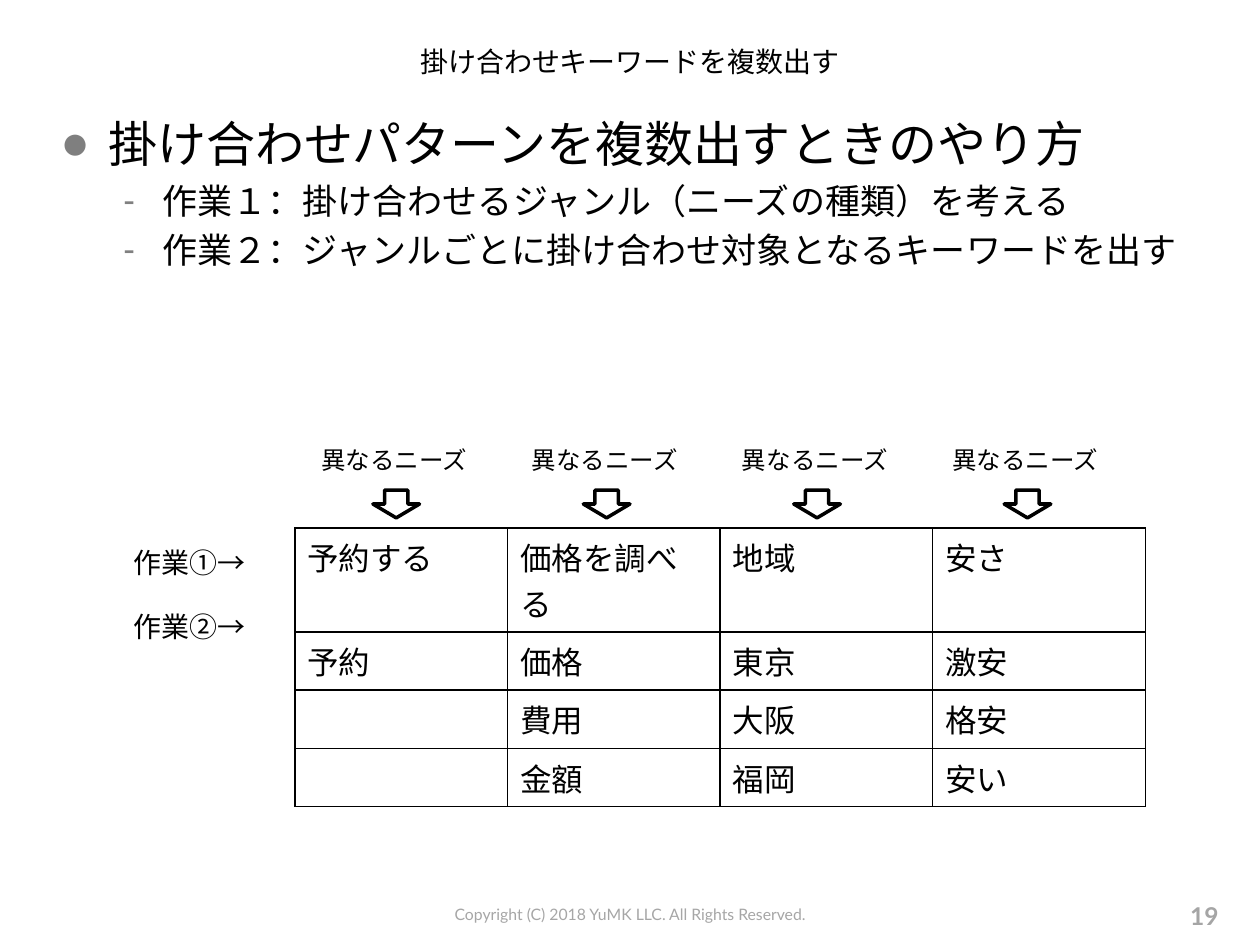
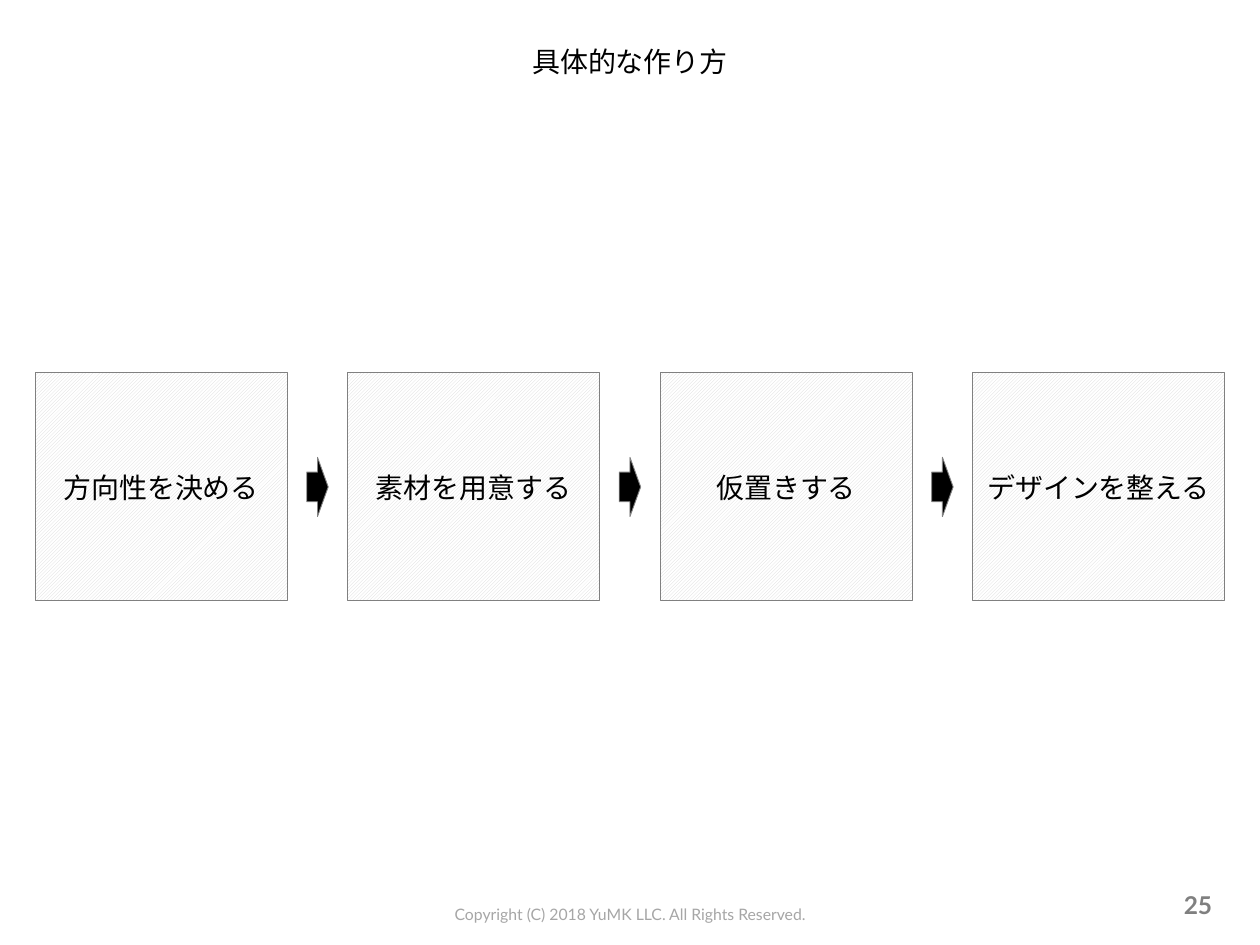
from lxml.etree import SubElement
from pptx import Presentation
from pptx.dml.color import RGBColor
from pptx.enum.dml import MSO_PATTERN
from pptx.enum.shapes import MSO_SHAPE
from pptx.enum.text import MSO_ANCHOR, MSO_AUTO_SIZE, PP_ALIGN
from pptx.oxml.ns import qn
from pptx.util import Inches, Pt

SANS = "Noto Sans CJK JP"
BLACK, WHITE, GRAY = "000000", "FFFFFF", "808080"
LEFT, MID, RIGHT = PP_ALIGN.LEFT, PP_ALIGN.CENTER, PP_ALIGN.RIGHT

FOOTER = "Copyright (C) 2018 YuMK LLC. All Rights Reserved."
FOOT = dict(size=9, name="Lato", color="A6A6A6")
HEAD = dict(size=16, name=SANS)

KEYWORDS = dict(
    title="掛け合わせキーワードを複数出す",
    page=("19", (7.44, 7.07, 2.33, 0.4), "A5A5A5"),
    bullets=[
        (0, "掛け合わせパターンを複数出すときのやり方"),
        (1, "作業１：掛け合わせるジャンル（ニーズの種類）を考える"),
        (1, "作業２：ジャンルごとに掛け合わせ対象となるキーワードを出す"),
    ],
    need="異なるニーズ",
    tasks=["作業①→", "作業②→"],
    table=[
        ["予約する", "価格を調べる", "地域", "安さ"],
        ["予約", "価格", "東京", "激安"],
        ["", "費用", "大阪", "格安"],
        ["", "金額", "福岡", "安い"],
    ],
)
STEPS = dict(
    title="具体的な作り方",
    page=("25", (7.39, 6.98, 2.33, 0.4), GRAY),
    steps=["方向性を決める", "素材を用意する", "仮置きする", "デザインを整える"],
)
# Per level: size, left margin, hanging indent, bullet, bullet colour
LEVELS = [(28, 0.38, 0.38, "●", "7F7F7F"), (20, 0.81, 0.31, "-", GRAY)]


def rgb(code):
    return RGBColor.from_string(code)


def place(shape, box):
    for key, size in zip(("left", "top", "width", "height"), box):
        setattr(shape, key, Inches(size))


def style(para, size, name, color=BLACK, bold=False, align=LEFT):
    """Format a paragraph, with the same face for Japanese text."""
    para.alignment = align
    look = dict(size=Pt(size), name=name, bold=bold)
    for run in para.runs:
        for key, value in look.items():
            setattr(run.font, key, value)
        run.font.color.rgb = rgb(color)
        east = SubElement(run.font._element, qn("a:ea"))
        east.set("typeface", SANS)


def write(shape, text, anchor=MSO_ANCHOR.TOP, **look):
    frame = shape.text_frame
    frame.text = text
    frame.word_wrap = True
    frame.auto_size = MSO_AUTO_SIZE.NONE
    frame.vertical_anchor = anchor
    style(frame.paragraphs[0], **look)


def label(slide, text, box, **look):
    write(slide.shapes.add_textbox(*map(Inches, box)), text, **look)


def draw(slide, kind, box, line, width):
    shape = slide.shapes.add_shape(kind, *map(Inches, box))
    shape.shadow.inherit = False
    shape.line.color.rgb = rgb(line)
    shape.line.width = Pt(width)
    return shape


def paint(shape, color):
    shape.fill.solid()
    shape.fill.fore_color.rgb = rgb(color)


def start(deck, layout, title, page):
    """Add a slide with its title, footer and page number."""
    slide = deck.slides.add_slide(deck.slide_layouts[layout])
    head = slide.shapes.title
    place(head, (0.5, 0.22, 9, 0.54))
    write(head, title, MSO_ANCHOR.MIDDLE, align=MID, **HEAD)
    label(slide, FOOTER, (3.15, 7.13, 3.7, 0.25), align=MID, **FOOT)
    number, box, color = page
    label(slide, number, box, anchor=MSO_ANCHOR.MIDDLE, size=14,
          name="Lato", color=color, bold=True, align=RIGHT)
    return slide


def add_list(body, items):
    place(body, (0.38, 0.85, 9.15, 5.79))
    frame = body.text_frame
    frame.auto_size = MSO_AUTO_SIZE.NONE
    for i, (level, text) in enumerate(items):
        para = frame.add_paragraph() if i else frame.paragraphs[0]
        para.text, para.level = text, level
        size, left, hang, mark, color = LEVELS[level]
        props = para._p.get_or_add_pPr()
        props.set("marL", str(Inches(left)))
        props.set("indent", str(-Inches(hang)))
        tint = SubElement(props, qn("a:buClr"))
        SubElement(tint, qn("a:srgbClr")).set("val", color)
        SubElement(props, qn("a:buChar")).set("char", mark)
        para.space_before = Pt(4 if i else 0)
        style(para, size, SANS)


def edge(cell):
    """Give a cell a thin black border on each side."""
    props = cell._tc.get_or_add_tcPr()
    for side in ("lnL", "lnR", "lnT", "lnB"):
        line = SubElement(props, qn(f"a:{side}"), w=str(Pt(1)))
        fill = SubElement(line, qn("a:solidFill"))
        SubElement(fill, qn("a:srgbClr")).set("val", BLACK)


def add_grid(slide, rows):
    box = map(Inches, (2.34, 4.19, 6.75, 1.7))
    grid = slide.shapes.add_table(len(rows), len(rows[0]), *box).table
    grid.first_row = grid.horz_banding = False
    for r, row in enumerate(rows):
        for c, text in enumerate(row):
            cell = grid.cell(r, c)
            cell.text = text
            edge(cell)
            cell.fill.background()
            style(cell.text_frame.paragraphs[0], 18, "Calibri")


def add_keywords(deck, data):
    slide = start(deck, 1, data["title"], data["page"])
    add_list(slide.placeholders[1], data["bullets"])
    add_grid(slide, data["table"])
    for i, task in enumerate(data["tasks"]):
        label(slide, task, (0.96, 4.28 + 0.51 * i, 1.19, 0.37),
              size=16, name="Calibri")
    for i in range(len(data["table"][0])):
        left = 2.45 + 1.67 * i
        label(slide, data["need"], (left, 3.48, 1.38, 0.34),
              size=14, name="Arial")
        arrow = draw(slide, MSO_SHAPE.DOWN_ARROW,
                     (left + 0.51, 3.89, 0.37, 0.22), BLACK, 2)
        paint(arrow, WHITE)


def add_steps(deck, data):
    slide = start(deck, 5, data["title"], data["page"])
    wide, gap, thin = 2, 0.48, 0.17
    for i, step in enumerate(data["steps"]):
        left = 0.28 + (wide + gap) * i
        card = draw(slide, MSO_SHAPE.RECTANGLE,
                    (left, 2.96, wide, 1.81), GRAY, 0.5)
        card.fill.patterned()
        card.fill.pattern = MSO_PATTERN.LIGHT_UPWARD_DIAGONAL
        card.fill.fore_color.rgb = rgb("D9D9D9")
        card.fill.back_color.rgb = rgb(WHITE)
        write(card, step, MSO_ANCHOR.MIDDLE, align=MID, **HEAD)
        if i:
            arrow = draw(slide, MSO_SHAPE.RIGHT_ARROW,
                         (left - (gap + thin) / 2, 3.63, thin, 0.47), GRAY, 0.5)
            paint(arrow, BLACK)


def main():
    deck = Presentation()
    deck.slide_width, deck.slide_height = Inches(10), Inches(7.5)
    add_keywords(deck, KEYWORDS)
    add_steps(deck, STEPS)
    deck.save("out.pptx")


if __name__ == "__main__":
    main()
